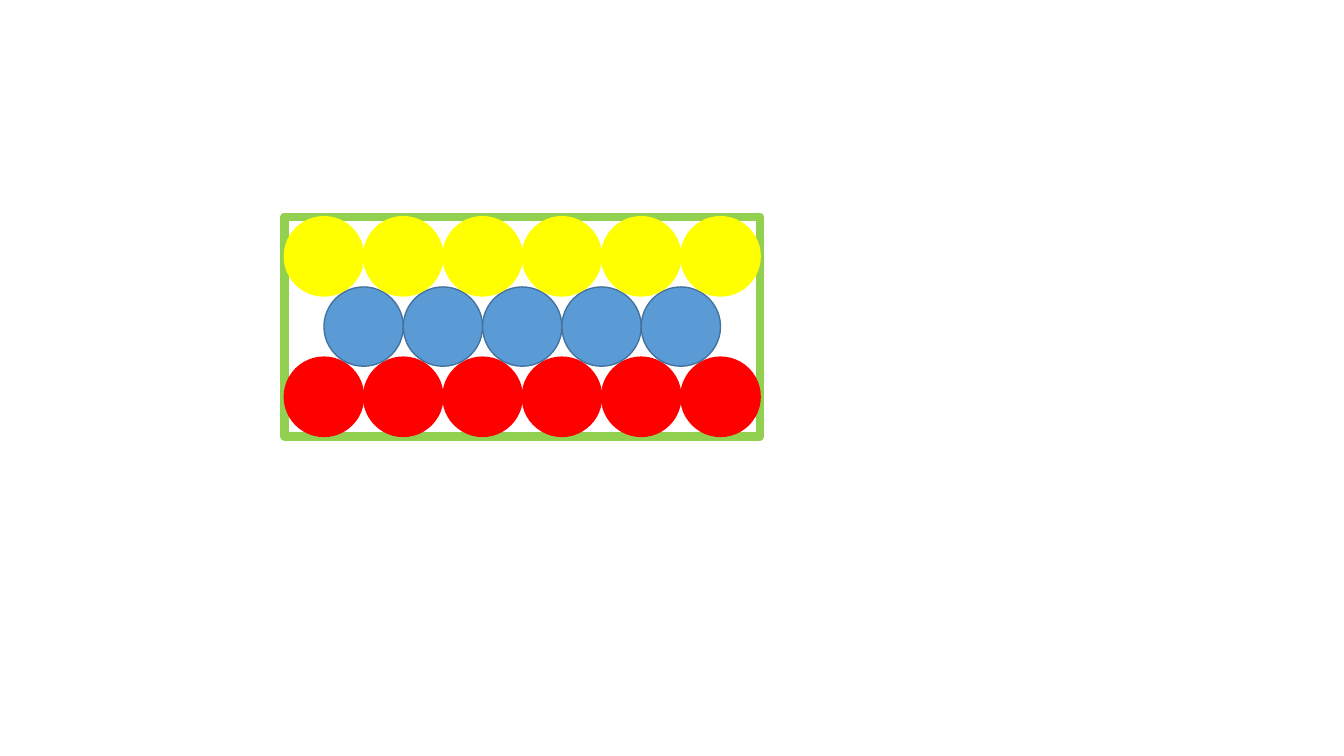
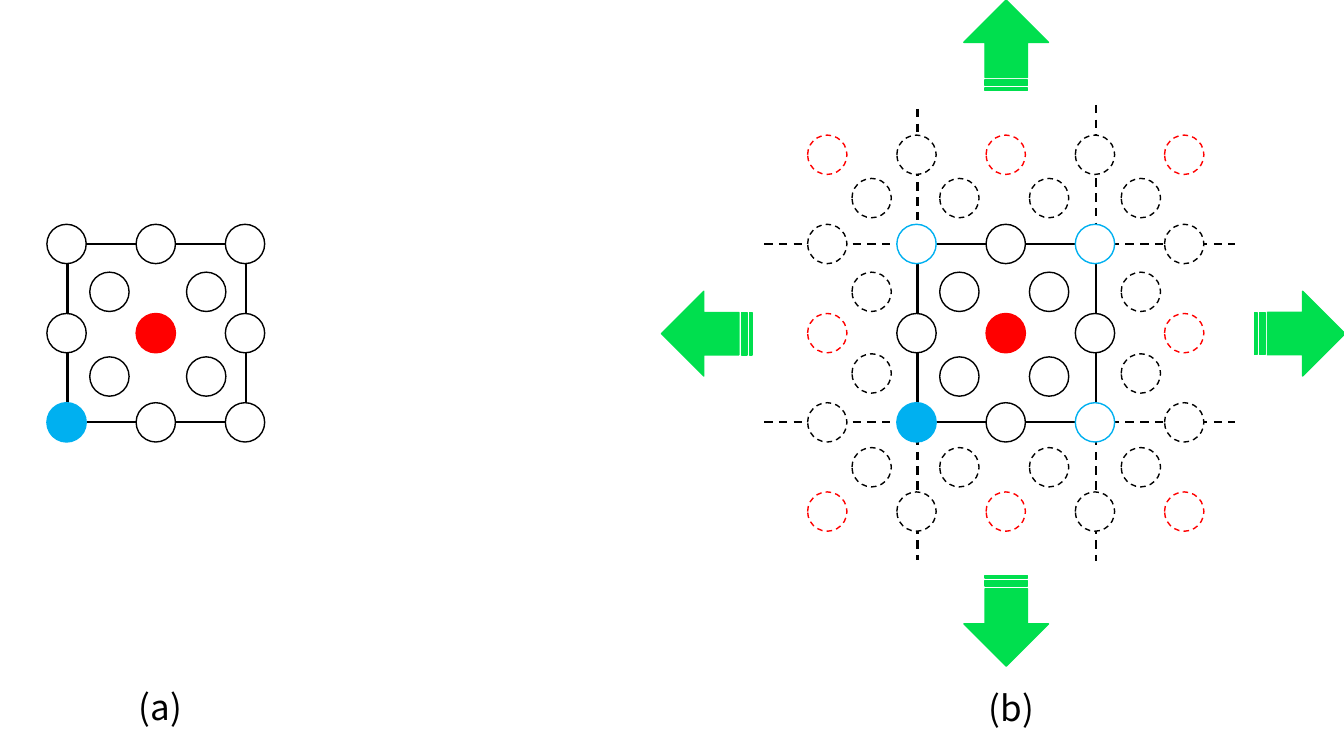
from lxml import etree
from pptx import Presentation
from pptx.dml.color import RGBColor
from pptx.enum.dml import MSO_LINE
from pptx.enum.shapes import MSO_CONNECTOR, MSO_SHAPE
from pptx.enum.text import MSO_AUTO_SIZE
from pptx.oxml.ns import qn
from pptx.util import Inches, Pt

COLOURS = {
    "white": "FFFFFF", "black": "000000", "red": "FF0000", "yellow": "FFFF00",
    "frame": "92D050", "blue": "5B9BD5", "blue edge": "43739E",
    "cyan": "00B0F0", "arrow": "00DF4E",
}
LABEL_FORMAT = {"name": "Noto Sans CJK JP", "size": Pt(25)}


def style_line(line, colour, width, dashed):
    line.color.rgb = RGBColor.from_string(COLOURS[colour])
    line.width = Pt(width)
    if dashed:
        line.dash_style = MSO_LINE.DASH


def add_figure(slide, kind, box, fill, edge, width=1, dashed=False, rotation=0):
    shape = slide.shapes.add_shape(kind, *[Inches(length) for length in box])
    shape.shadow.inherit = False
    shape.rotation = rotation
    shape.fill.solid()
    shape.fill.fore_color.rgb = RGBColor.from_string(COLOURS[fill])
    style_line(shape.line, edge, width, dashed)


presentation = Presentation()
presentation.slide_width = Inches(13.33)
presentation.slide_height = Inches(7.5)
blank_layout = presentation.slide_layouts[6]

packing_slide = presentation.slides.add_slide(blank_layout)
frame_left, frame_top, frame_width, frame_height = 2.82, 2.15, 4.72, 2.18
ball = frame_width / 6
row_step = (frame_height - ball) / 2
add_figure(packing_slide, MSO_SHAPE.RECTANGLE,
           (frame_left, frame_top, frame_width, frame_height), "white", "frame", 6)
ball_rows = [
    (2, 6, 0, "red", "red"),
    (1, 5, ball / 2, "blue", "blue edge"),
    (0, 6, 0, "yellow", "yellow"),
]
for row, count, indent, fill, edge in ball_rows:
    for column in range(count):
        box = (frame_left + indent + column * ball, frame_top + row * row_step, ball, ball)
        add_figure(packing_slide, MSO_SHAPE.OVAL, box, fill, edge)

lattice_slide = presentation.slides.add_slide(blank_layout)
cell_top, cell_size, atom = 2.42, 1.77, 0.39
pitch = cell_size / 2
atom_top = 1.34
cell_left, next_cell_left = 9.1, 10.87
cell_bottom = cell_top + cell_size

extension_lines = [
    (cell_left, cell_bottom, cell_left, 5.56),
    (next_cell_left, cell_bottom, next_cell_left, 5.57),
    (next_cell_left, 1.04, next_cell_left, cell_top),
    (cell_left, 1.08, cell_left, 2.45),
]
for y in (cell_top, cell_bottom):
    extension_lines += [(7.58, y, 8.95, y), (next_cell_left, y, 12.25, y)]
for ends in extension_lines:
    connector = lattice_slide.shapes.add_connector(
        MSO_CONNECTOR.STRAIGHT, *[Inches(length) for length in ends])
    style_line(connector.line, "black", 1.5, True)
    properties = connector._element.find(qn("p:spPr"))
    etree.SubElement(properties, qn("a:effectLst"))

for left in (0.67, cell_left):
    add_figure(lattice_slide, MSO_SHAPE.RECTANGLE,
               (left, cell_top, cell_size, cell_size), "white", "black", 1.5)

panels = [
    (-0.42, range(1, 4), {1: 0.89, 2: 1.85}, "black"),
    (8.01, range(5), {0: 8.45, 1: 9.32, 2: 10.21, 3: 11.12}, "cyan"),
]
for atom_left, sites, inner_lefts, corner_edge in panels:
    for row in sites:
        for column in sites:
            edge, fill = "black", "white"
            if row % 2 == 0 and column % 2 == 0:
                edge = "red"
            elif row % 2 and column % 2:
                edge = corner_edge
            if (row, column) == (2, 2):
                fill = edge = "red"
            elif (row, column) == (3, 1):
                fill = edge = "cyan"
            dashed = not (1 <= row <= 3 and 1 <= column <= 3)
            box = (atom_left + column * pitch, atom_top + row * pitch, atom, atom)
            add_figure(lattice_slide, MSO_SHAPE.OVAL, box, fill, edge, dashed=dashed)

    for row, top in enumerate((1.77, 2.7, 3.54, 4.44)):
        if row not in inner_lefts:
            continue
        for column, left in inner_lefts.items():
            dashed = row in (0, 3) or column in (0, 3)
            lift = 0.03 if row == 2 and dashed else 0
            add_figure(lattice_slide, MSO_SHAPE.OVAL,
                       (left, top - lift, atom, atom), "white", "black", dashed=dashed)

for left, top, rotation in [(9.53, 5.74, 90), (9.53, 0.03, 270), (6.56, 2.89, 180), (12.44, 2.89, 0)]:
    add_figure(lattice_slide, MSO_SHAPE.STRIPED_RIGHT_ARROW,
               (left, top, 0.9, 0.84), "arrow", "arrow", rotation=rotation)

for text, left, top, width in [("(a)", 1.28, 6.75, 0.67), ("(b)", 9.71, 6.76, 0.68)]:
    label = lattice_slide.shapes.add_textbox(Inches(left), Inches(top), Inches(width), Inches(0.52))
    label.text_frame.word_wrap = False
    label.text_frame.auto_size = MSO_AUTO_SIZE.SHAPE_TO_FIT_TEXT
    run = label.text_frame.paragraphs[0].add_run()
    run.text = text
    for attribute, value in LABEL_FORMAT.items():
        setattr(run.font, attribute, value)
    run.font.color.rgb = RGBColor.from_string(COLOURS["black"])

presentation.save("out.pptx")
